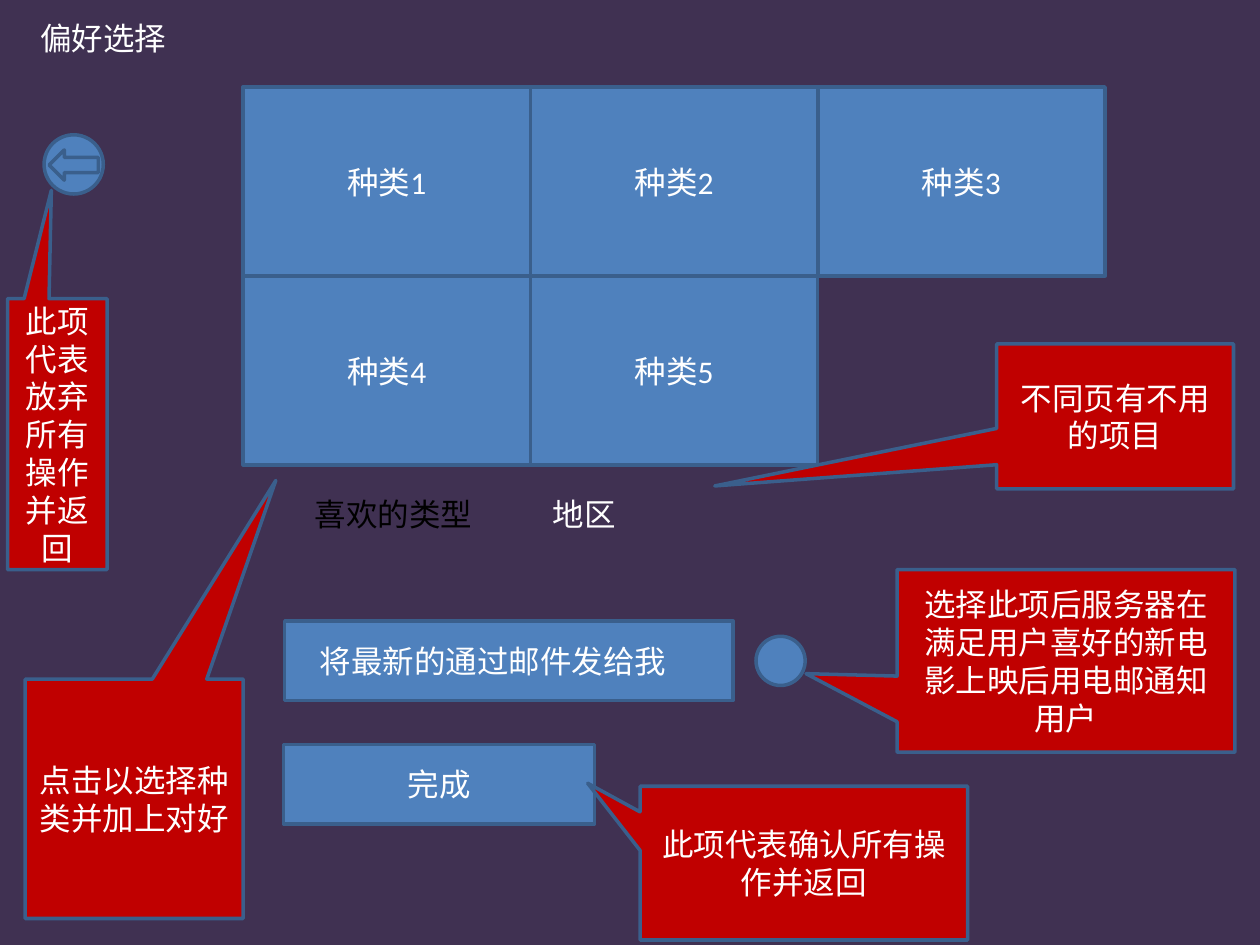
import dataclasses

import pptx
import pptx.dml.color
import pptx.enum.shapes
import pptx.enum.text
import pptx.util

Inches = pptx.util.Inches
Kind = pptx.enum.shapes.MSO_SHAPE
Align = pptx.enum.text.PP_ALIGN
Anchor = pptx.enum.text.MSO_ANCHOR


@dataclasses.dataclass
class Theme:
    back: str = "403152"
    fill: str = "4F81BD"
    edge: str = "3A5F8C"
    note: str = "C00000"
    light: str = "FFFFFF"
    dark: str = "000000"
    font: str = "Calibri"
    size: int = 18
    rule: int = 2


class Page:
    def __init__(self, deck, theme):
        self.theme = theme
        self.slide = deck.slides.add_slide(deck.slide_layouts[5])
        self.paint(self.slide.background.fill, theme.back)

    def paint(self, fill, tone):
        fill.solid()
        fill.fore_color.rgb = pptx.dml.color.RGBColor.from_string(tone)

    def letter(self, frame, text, tone, align=Align.CENTER):
        frame.word_wrap = True
        para = frame.paragraphs[0]
        para.add_run().text = text
        para.alignment = align
        para.font.name = self.theme.font
        para.font.size = pptx.util.Pt(self.theme.size)
        self.paint(para.font.fill, tone)

    def title(self, text, left, top, width, height):
        head = self.slide.shapes.title
        head.left, head.top = Inches(left), Inches(top)
        head.width, head.height = Inches(width), Inches(height)
        head.text_frame.vertical_anchor = Anchor.MIDDLE
        self.letter(head.text_frame, text, self.theme.light)

    def shape(self, kind, box, text="", tone=None):
        item = self.slide.shapes.add_shape(kind, *map(Inches, box))
        item.shadow.inherit = False
        self.paint(item.fill, tone or self.theme.fill)
        self.paint(item.line.fill, self.theme.edge)
        item.line.width = pptx.util.Pt(self.theme.rule)
        if text:
            item.text_frame.vertical_anchor = Anchor.MIDDLE
            self.letter(item.text_frame, text, self.theme.light)
        return item

    def callout(self, text, box, tip):
        item = self.shape(Kind.RECTANGULAR_CALLOUT, box, text, self.theme.note)
        item.adjustments[0], item.adjustments[1] = tip

    def label(self, text, box, tone):
        item = self.slide.shapes.add_textbox(*map(Inches, box))
        self.letter(item.text_frame, text, tone, Align.LEFT)
        item.text_frame.auto_size = pptx.enum.text.MSO_AUTO_SIZE.SHAPE_TO_FIT_TEXT


def main():
    deck = pptx.Presentation()
    deck.slide_width, deck.slide_height = Inches(10), Inches(7.5)
    theme = Theme()
    page = Page(deck, theme)

    page.title("偏好选择", 0, 0, 1.64, 0.61)
    page.shape(Kind.OVAL, (0.35, 1.07, 0.47, 0.47))
    page.shape(Kind.LEFT_ARROW, (0.39, 1.19, 0.39, 0.24))
    page.shape(Kind.RECTANGLE, (2.26, 4.93, 3.56, 0.63), "将最新的通过邮件发给我\t")
    page.shape(Kind.RECTANGLE, (2.25, 5.91, 2.47, 0.63), "完成")
    page.shape(Kind.OVAL, (6, 5.05, 0.39, 0.39))

    wide, high = 2.28, 1.5
    for spot in range(5):
        row, col = divmod(spot, 3)
        box = (1.93 + col * wide, 0.69 + row * high, wide, high)
        page.shape(Kind.FLOWCHART_PROCESS, box, f"种类{spot + 1}")

    notes = [
        ("选择此项后服务器在满足用户喜好的新电影上映后用电邮通知用户",
         (7.12, 4.52, 2.68, 1.45), (-0.77, 0.07)),
        ("此项代表放弃所有操作并返回", (0.06, 2.37, 0.79, 2.15), (-0.06, -0.9)),
        ("此项代表确认所有操作并返回", (5.08, 6.24, 2.6, 1.22), (-0.66, -0.52)),
        ("不同页有不用的项目", (7.91, 2.73, 1.88, 1.15), (-1.69, 0.48)),
        ("点击以选择种类并加上对好", (0.2, 5.39, 1.73, 1.9), (0.65, -1.33)),
    ]
    for note in notes:
        page.callout(*note)

    page.label("喜欢的类型", (2.4, 3.88, 1.5, 0.4), theme.dark)
    page.label("地区", (4.29, 3.88, 1.71, 0.4), theme.light)
    deck.save("out.pptx")


if __name__ == "__main__":
    main()
